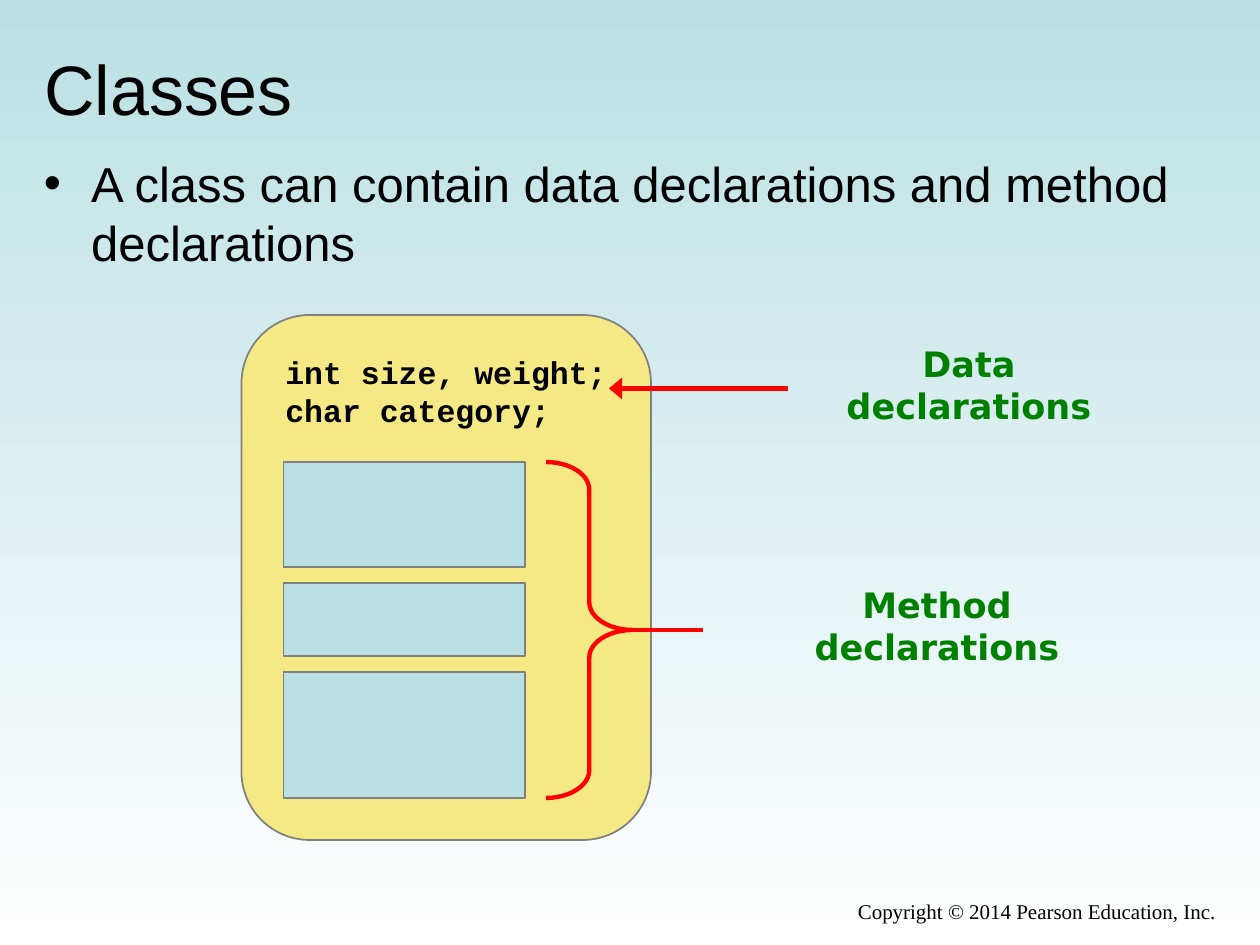
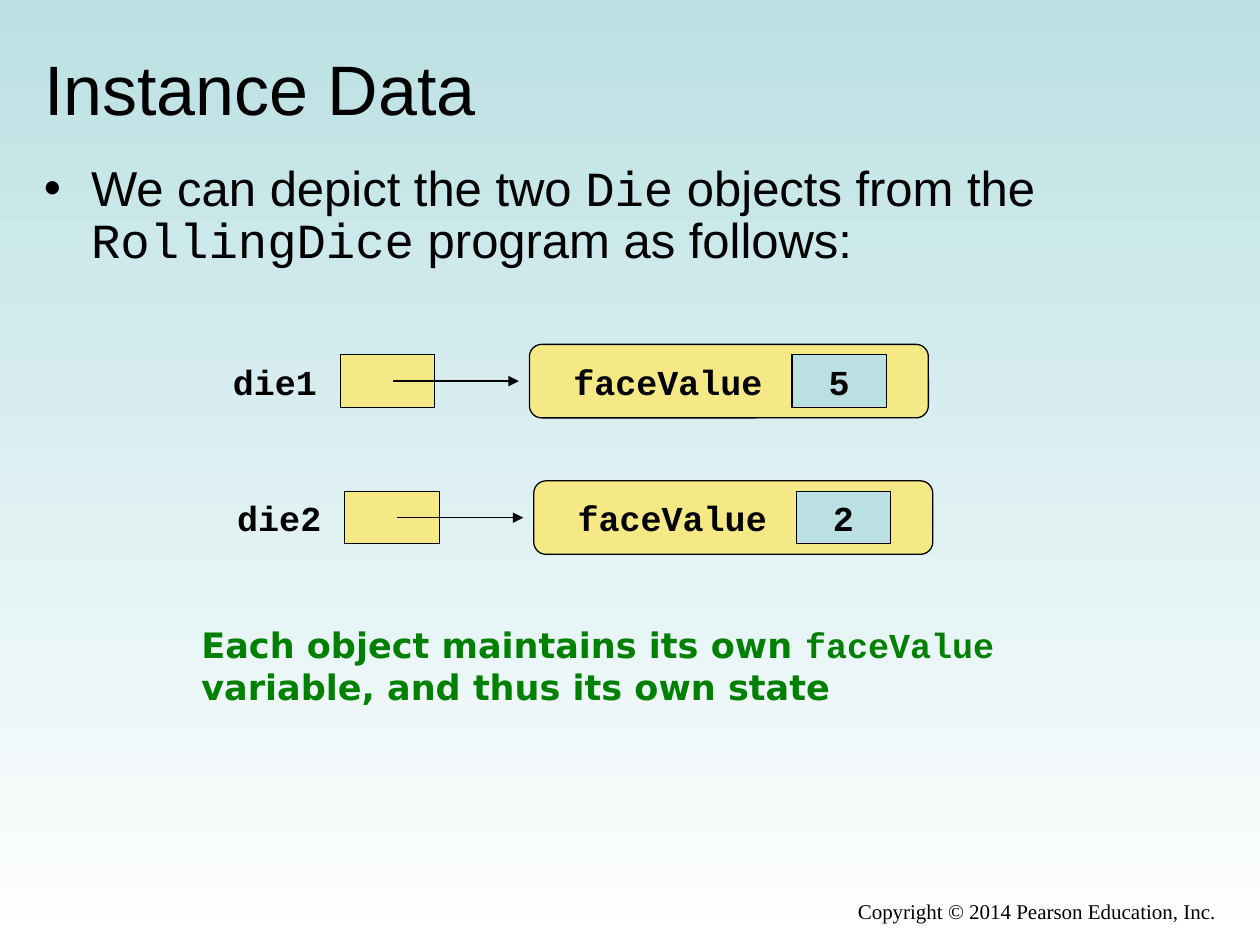
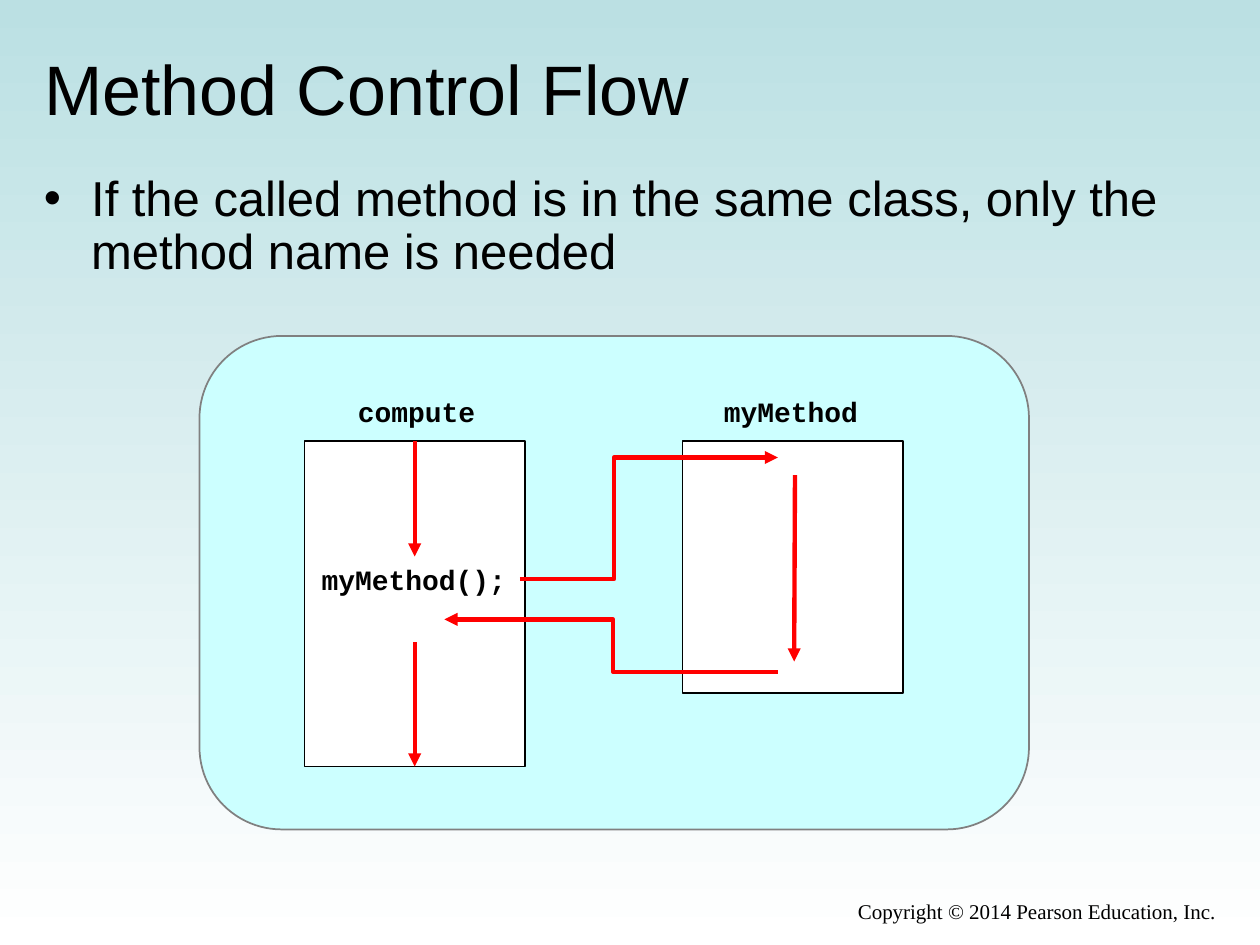
"""Build three slides on Java classes, instance data and method control flow."""
from lxml.etree import SubElement
from pptx import Presentation
from pptx.dml.color import RGBColor
from pptx.enum.shapes import MSO_CONNECTOR, MSO_SHAPE
from pptx.enum.text import MSO_ANCHOR, PP_ALIGN
from pptx.oxml.ns import qn
from pptx.util import Pt

COLORS = {
    "sky": "BBE0E3", "white": "FFFFFF", "black": "000000", "gray": "808080",
    "sand": "F5E985", "aqua": "CCFFFF", "red": "FF0000", "green": "008000",
}
RGB = {name: RGBColor.from_string(value) for name, value in COLORS.items()}
CODE = "Courier New"
TITLE = {"name": "Arial", "size": Pt(40)}
BODY = {"name": "Arial", "size": Pt(28)}
LABEL = {"name": "DejaVu Sans", "size": Pt(20), "bold": True}
FOOTER = {"name": "Times New Roman", "size": Pt(12)}
CODE_16, CODE_18, CODE_20 = (
    {"name": CODE, "size": Pt(size), "bold": True} for size in (16, 18, 20))


def write(frame, text, style, color="black", align=PP_ALIGN.LEFT,
          anchor=MSO_ANCHOR.MIDDLE, wrap=True):
    """Write lines of text, setting parts between backticks in the code font."""
    frame.word_wrap, frame.vertical_anchor = wrap, anchor
    for number, line in enumerate(text.split("\n")):
        paragraph = frame.add_paragraph() if number else frame.paragraphs[0]
        paragraph.alignment = align
        for position, part in enumerate(line.split("`")):
            run = paragraph.add_run()
            run.text = part
            for name, value in style.items():
                setattr(run.font, name, value)
            if position % 2:
                run.font.name = CODE
            run.font.color.rgb = RGB[color]


def draw(slide, kind, box, fill=None, line=None, width=1):
    """Draw a preset shape with a plain fill and outline."""
    shape = slide.shapes.add_shape(kind, *map(Pt, box))
    shape.shadow.inherit = False
    if fill:
        shape.fill.solid()
        shape.fill.fore_color.rgb = RGB[fill]
    else:
        shape.fill.background()
    if line:
        shape.line.color.rgb = RGB[line]
        shape.line.width = Pt(width)
    else:
        shape.line.fill.background()
    return shape


prs = Presentation()
prs.slide_width, prs.slide_height = Pt(720), Pt(540)
backdrop = prs.slide_master.background.fill
backdrop.gradient()
backdrop.gradient_angle = 270
for stop, position, color in zip(backdrop.gradient_stops, (0, 1), ("sky", "white")):
    stop.position = position
    stop.color.rgb = RGB[color]

topics = [
    ("Classes", "A class can contain data declarations and method declarations",
     (18, 84.2, 678, 330), 1.0),
    ("Instance Data",
     "We can depict the two `Die` objects from the `RollingDice` program as follows:",
     (18, 90, 672, 96), 0.9),
    ("Method Control Flow",
     "If the called method is in the same class, only the method name is needed",
     (18, 96, 672, 72), 0.9),
]
for heading, point, point_box, spacing in topics:
    slide = prs.slides.add_slide(prs.slide_layouts[5])
    title = slide.shapes.title
    title.left, title.top, title.width, title.height = map(Pt, (18, 22, 684, 56.2))
    write(title.text_frame, heading, TITLE)

    body = slide.shapes.add_textbox(*map(Pt, point_box)).text_frame
    bullet_point = body.paragraphs[0]
    properties = bullet_point._p.get_or_add_pPr()
    properties.set("marL", str(Pt(27)))
    properties.set("indent", str(-Pt(27)))
    SubElement(properties, qn("a:buFont"), typeface="Arial")
    SubElement(properties, qn("a:buChar"), char="•")
    bullet_point.line_spacing = spacing
    write(body, point, BODY, anchor=MSO_ANCHOR.TOP)

    footer = slide.shapes.add_textbox(*map(Pt, (264, 510, 438, 24.5)))
    write(footer.text_frame, "Copyright © 2014 Pearson Education, Inc.", FOOTER,
          align=PP_ALIGN.RIGHT, anchor=MSO_ANCHOR.TOP)

classes, instance_data, control_flow = prs.slides

draw(classes, MSO_SHAPE.FLOWCHART_ALTERNATE_PROCESS, (138, 180, 234, 300), "sand", "gray")
method_top = 264
for method_height in (60, 42, 72):
    draw(classes, MSO_SHAPE.RECTANGLE, (162, method_top, 138, method_height), "sky", "gray")
    method_top += method_height + 9
fields = draw(classes, MSO_SHAPE.RECTANGLE, (156, 198, 199, 50.4), "sand")
write(fields.text_frame, "int size, weight;\nchar category;", CODE_18, wrap=False)
for text, box in (("Data declarations", (458, 204, 191.5, 31.7)),
                  ("Method declarations", (424.5, 341.5, 222, 31.7))):
    label = classes.shapes.add_textbox(*map(Pt, box))
    write(label.text_frame, text, LABEL, "green", PP_ALIGN.CENTER)
brace = draw(classes, MSO_SHAPE.RIGHT_BRACE, (312, 264, 49.5, 192), line="red", width=2.5)
brace.adjustments[0] = 0.32

for row, face in enumerate("52"):
    x, y = 2.5 * row, 202.8 + 78 * row
    draw(instance_data, MSO_SHAPE.RECTANGLE, (194.5 + x, y, 54, 30), "sand", "black", 0.75)
    draw(instance_data, MSO_SHAPE.ROUNDED_RECTANGLE, (302.5 + x, y - 6, 228, 42),
         "sand", "black", 0.75)
    value = draw(instance_data, MSO_SHAPE.RECTANGLE, (452.5 + x, y, 54, 30),
                 "sky", "black", 0.75)
    write(value.text_frame, face, CODE_20, align=PP_ALIGN.CENTER, wrap=False)
    for text, left, width in ((f"die{row + 1}", 126, 64), ("faceValue", 320.5, 124)):
        name = instance_data.shapes.add_textbox(*map(Pt, (left + x, y - 0.5, width, 31.7)))
        write(name.text_frame, text, CODE_20, anchor=MSO_ANCHOR.TOP, wrap=False)
note = instance_data.shapes.add_textbox(*map(Pt, (108, 353, 516, 55.4)))
write(note.text_frame,
      "Each object maintains its own `faceValue` variable, and thus its own state",
      LABEL, "green", anchor=MSO_ANCHOR.TOP)

draw(control_flow, MSO_SHAPE.FLOWCHART_ALTERNATE_PROCESS, (114, 192, 474, 282), "aqua", "gray")
compute, my_method = (
    draw(control_flow, MSO_SHAPE.RECTANGLE, (left, 252, 126, height), "white", "black")
    for left, height in ((174, 186), (390, 144)))
for text, box in (("compute", (196, 222, 84, 26.6)),
                  ("myMethod", (405, 222, 94, 26.6)),
                  ("myMethod();", (175.5, 318, 122, 26.6))):
    name = control_flow.shapes.add_textbox(*map(Pt, box))
    write(name.text_frame, text, CODE_16, align=PP_ALIGN.CENTER, wrap=False)

flows = [
    (classes, (450, 222, 348, 222), "red", 2.5, {"w": "lg"}, None),
    (classes, (402, 360, 361.5, 360), "red", 2.5, None, None),
    (instance_data, (224.5, 217.8, 296.5, 217.8), "black", 0.75, {}, None),
    (instance_data, (227, 295.8, 299, 295.8), "black", 0.75, {}, None),
    (control_flow, (297, 331, 444.5, 261.5), "red", 2.5, {}, 36500),
    (control_flow, (454.3, 271.5, 453.8, 378), "red", 2.5, {}, None),
    (control_flow, (444.5, 384, 254, 354), "red", 2.5, {}, 49400),
    (control_flow, (237, 252, 237, 318), "red", 2.5, {}, None),
    (control_flow, (237, 367, 237, 438), "red", 2.5, {}, None),
]
drawn_flows = []
for slide, ends, color, width, arrowhead, bend in flows:
    kind = MSO_CONNECTOR.ELBOW if bend else MSO_CONNECTOR.STRAIGHT
    flow = slide.shapes.add_connector(kind, *map(Pt, ends))
    flow.line.color.rgb = RGB[color]
    flow.line.width = Pt(width)
    properties = flow.element.spPr
    if arrowhead is not None:
        SubElement(properties.find(qn("a:ln")), qn("a:tailEnd"), type="triangle", **arrowhead)
    if bend:
        guides = properties.find(qn("a:prstGeom")).find(qn("a:avLst"))
        SubElement(guides, qn("a:gd"), name="adj1", fmla=f"val {bend}")
    SubElement(properties, qn("a:effectLst"))
    drawn_flows.append(flow)
compute_start, compute_finish = drawn_flows[-2:]
compute_start.begin_connect(compute, 0)
compute_finish.end_connect(compute, 2)

prs.save("out.pptx")
